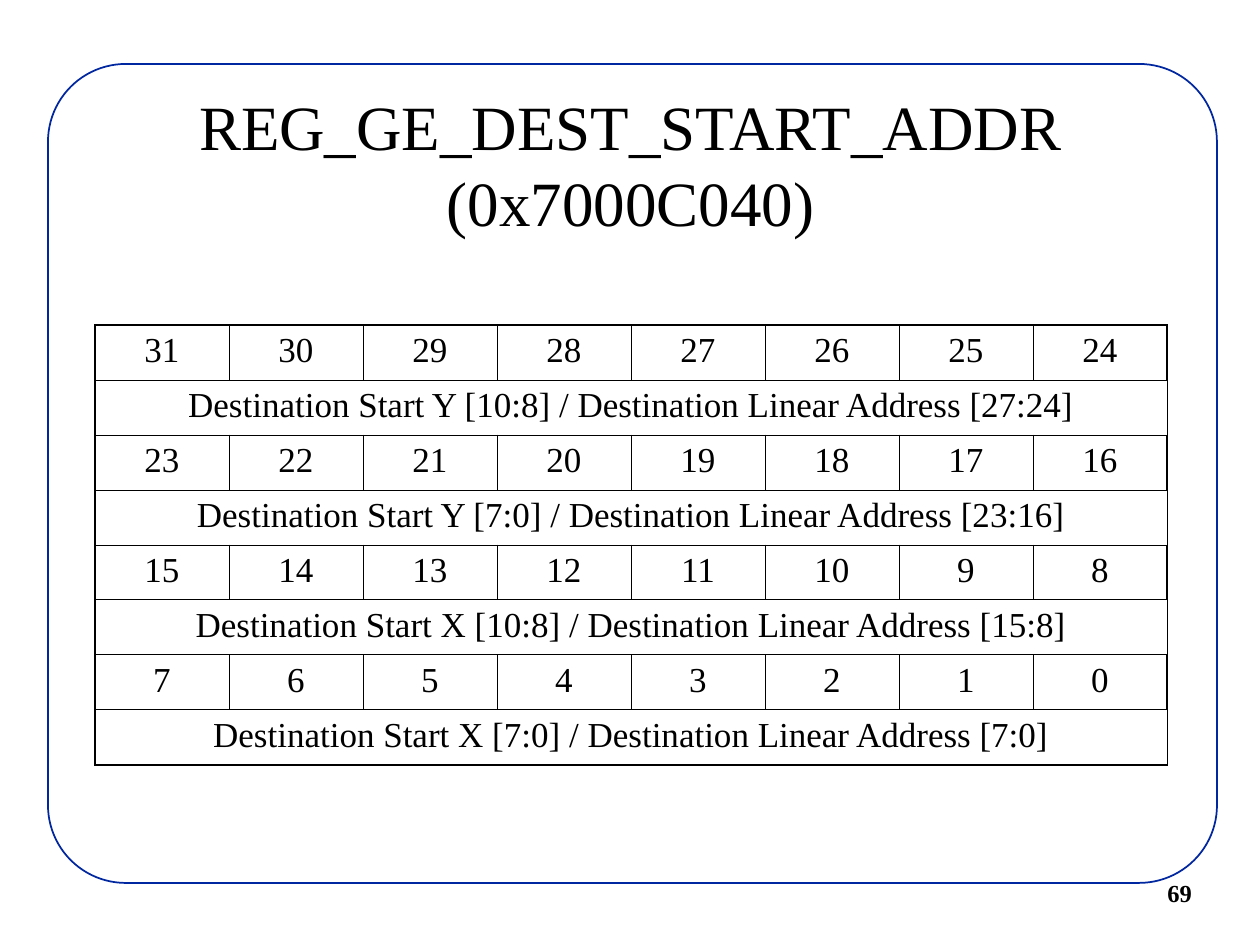
import pptx
import pptx.dml.color
import pptx.enum.shapes
import pptx.enum.text
import pptx.oxml
import pptx.oxml.ns
import pptx.util

PX = pptx.util.Inches(1) / 126
ALIGN = pptx.enum.text.PP_ALIGN
ANCHOR = pptx.enum.text.MSO_ANCHOR


def px(n):
    return pptx.util.Emu(round(n * PX))


def rgb(value):
    return pptx.dml.color.RGBColor.from_string(value)


class RegisterSlide:
    font = "Times New Roman"
    ink = "000000"
    paper = "FFFFFF"
    frame_line = "00279F"
    inner_pt = 0.45
    outer_pt = 1.08

    def __init__(self, prs):
        self.slide = prs.slides.add_slide(prs.slide_layouts[6])

    def set_text(self, tf, text, size, align, bold=False):
        p = tf.paragraphs[0]
        p.text = text
        p.alignment = align
        p.font.name = self.font
        p.font.size = pptx.util.Pt(size)
        p.font.bold = bold
        p.font.color.rgb = rgb(self.ink)

    def frame(self, x, y, w, h, radius):
        s = self.slide.shapes.add_shape(
            pptx.enum.shapes.MSO_SHAPE.ROUNDED_RECTANGLE, px(x), px(y), px(w), px(h))
        s.adjustments[0] = radius
        s.shadow.inherit = False
        s.fill.solid()
        s.fill.fore_color.rgb = rgb(self.paper)
        s.line.color.rgb = rgb(self.frame_line)
        s.line.width = pptx.util.Pt(1)

    def text(self, x, y, w, h, text, size, align=ALIGN.LEFT, anchor=ANCHOR.TOP, bold=False):
        s = self.slide.shapes.add_textbox(px(x), px(y), px(w), px(h))
        tf = s.text_frame
        tf.word_wrap = True
        tf.vertical_anchor = anchor
        self.set_text(tf, text, size, align, bold)

    def border(self, cell, side, width):
        ns = pptx.oxml.ns.nsdecls("a")
        cell._tc.get_or_add_tcPr().append(pptx.oxml.parse_xml(
            f'<a:ln{side} {ns} w="{pptx.util.Pt(width)}"><a:solidFill>'
            f'<a:srgbClr val="{self.ink}"/></a:solidFill></a:ln{side}>'))

    def bit_table(self, x, y, col_w, row_h, fields, size):
        """Each field takes a row of bit numbers, high to low, and a merged row below."""
        bits = 8
        rows = 2 * len(fields)
        table = self.slide.shapes.add_table(
            rows, bits, px(x), px(y), px(col_w * bits), px(row_h * rows)).table
        table.first_row = table.horz_banding = False
        for col in table.columns:
            col.width = px(col_w)
        for r, row in enumerate(table.rows):
            row.height = px(row_h)
            for c, cell in enumerate(row.cells):
                edges = {"L": c == 0, "R": c == bits - 1, "T": r == 0, "B": r == rows - 1}
                for side, outer in edges.items():
                    self.border(cell, side, self.outer_pt if outer else self.inner_pt)
                cell.fill.background()

        top_bit = bits * len(fields) - 1
        for i, field in enumerate(fields):
            for c in range(bits):
                number = str(top_bit - bits * i - c)
                self.set_text(table.cell(2 * i, c).text_frame, number, size, ALIGN.CENTER)
            merged = table.cell(2 * i + 1, 0)
            merged.merge(table.cell(2 * i + 1, bits - 1))
            self.set_text(merged.text_frame, field, size, ALIGN.CENTER)


def main():
    prs = pptx.Presentation()
    prs.slide_width, prs.slide_height = px(1260), px(945)
    page = RegisterSlide(prs)
    page.frame(48, 64, 1169, 819, 0.095)
    page.text(1155, 872, 136, 42, "69", 14, bold=True)
    page.text(95, 84, 1071, 158, "REG_GE_DEST_START_ADDR\n(0x7000C040)", 36,
              ALIGN.CENTER, ANCHOR.MIDDLE)
    page.bit_table(95, 325, 134, 55, [
        "Destination Start Y [10:8] / Destination Linear Address [27:24]",
        "Destination Start Y [7:0] / Destination Linear Address [23:16]",
        "Destination Start X [10:8] / Destination Linear Address [15:8]",
        "Destination Start X [7:0] / Destination Linear Address [7:0]",
    ], 20)
    prs.save("out.pptx")


if __name__ == "__main__":
    main()
